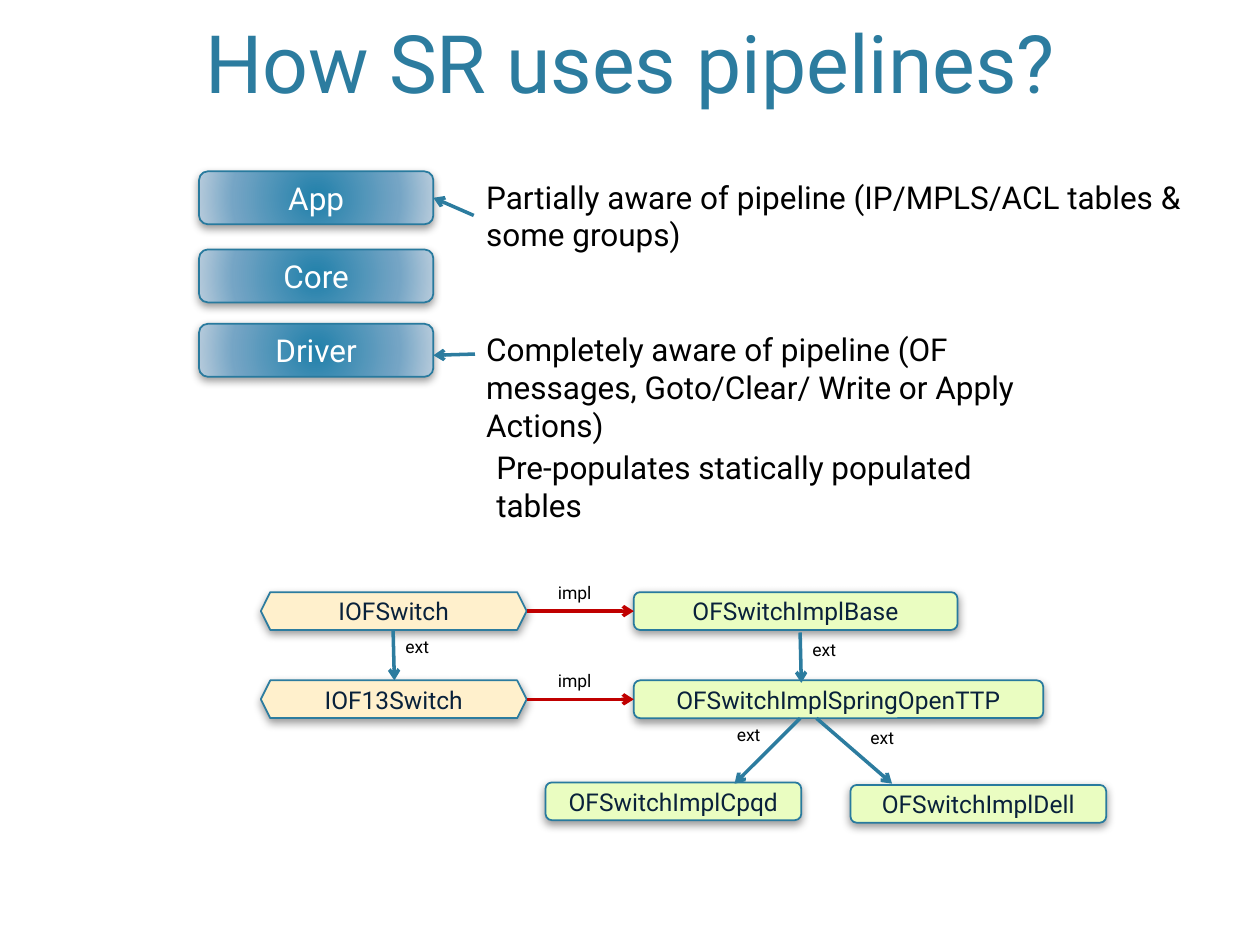
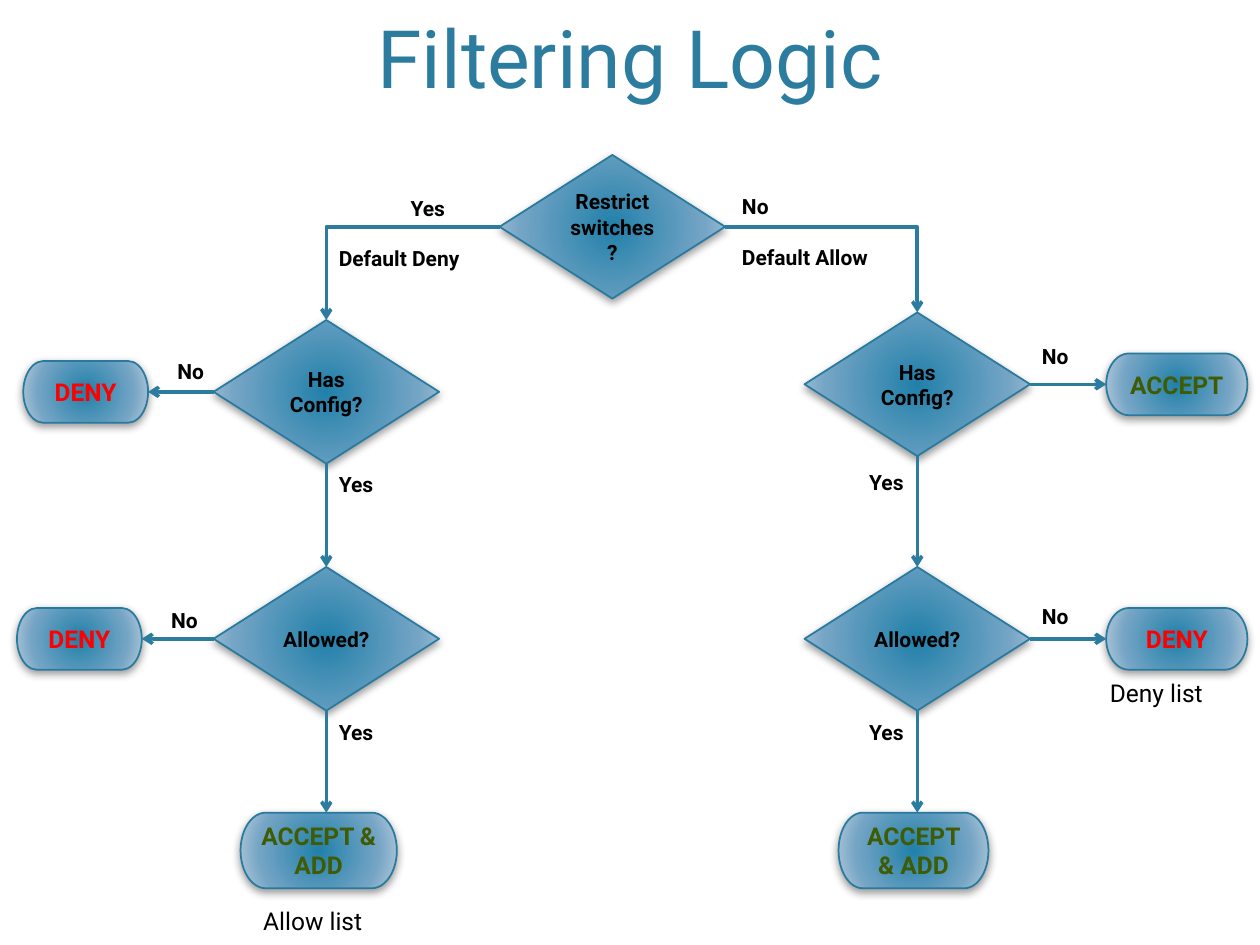
from lxml.etree import SubElement
from pptx import Presentation
from pptx.dml.color import RGBColor
from pptx.enum.shapes import MSO_CONNECTOR, MSO_SHAPE
from pptx.enum.text import MSO_ANCHOR, PP_ALIGN
from pptx.oxml import parse_xml
from pptx.oxml.ns import nsdecls, qn
from pptx.util import Inches, Pt

FONT = "Roboto"
TEAL, EDGE, RED = "2C7C9F", "287A9E", "C00000"
BLACK, WHITE, NAVY = "000000", "FFFFFF", "09213B"
CREAM, LIME = "FFF0CC", "EAFDC1"
DENY, ACCEPT = "FF0000", "3F5B03"
GLOW = [(0, "2180AA"), (69, "75A5C5"), (100, "B8CCDC")]

# Slide 1: software layers, what they know, and the switch classes
LAYER_LEFT, LAYER_SIZE = 1.58, (1.86, 0.42)
LAYERS = [("App", 1.36), ("Core", 1.98), ("Driver", 2.57)]
REMARKS = [  # text, left, top, width, height
    ("Partially aware of pipeline (IP/MPLS/ACL tables & some groups)", 3.76, 1.36, 6.11, 0.71),
    ("Completely aware of pipeline (OF messages, Goto/Clear/ Write or Apply Actions)",
     3.76, 2.57, 4.39, 1.01),
    ("Pre-populates statically populated tables", 3.84, 3.51, 4.12, 0.71),
]
REMARK_ARROWS = [((3.76, 1.71), (3.44, 1.57)), ((3.77, 2.81), (3.44, 2.82))]

CLASS_HEIGHT = 0.3
INTERFACES = [("IOFSwitch", 2.07, 4.7, 2.11), ("IOF13Switch", 2.07, 5.4, 2.11)]
CLASSES = [  # name, left, top, width
    ("OFSwitchImplBase", 5.03, 4.7, 2.57),
    ("OFSwitchImplSpringOpenTTP", 5.03, 5.4, 3.25),
    ("OFSwitchImplCpqd", 4.33, 6.21, 2.03),
    ("OFSwitchImplDell", 6.75, 6.23, 2.03),
]
RELATIONS = [  # kind, start, end, label corner
    ("impl", (4.18, 4.85), (5.03, 4.85), (4.33, 4.57)),
    ("impl", (4.18, 5.55), (5.03, 5.55), (4.33, 5.27)),
    ("ext", (3.12, 5.0), (3.13, 5.4), (3.12, 5.0)),
    ("ext", (6.35, 5.02), (6.36, 5.42), (6.35, 5.02)),
    ("ext", (6.35, 5.7), (5.83, 6.22), (5.75, 5.7)),
    ("ext", (6.48, 5.7), (7.08, 6.22), (6.81, 5.72)),
]
RELATION_STYLE = {"impl": (RED, 0.5), "ext": (TEAL, 0.4)}  # colour, label width

# Slide 2: decisions and outcomes, placed by their centres
DECISION_SIZE = (1.79, 1.14)
LEFT, RIGHT = 2.59, 7.28
DECISIONS = {
    "restrict": ("Restrict switches?", 4.86, 1.8),
    "left config": ("Has Config?", LEFT, 3.11),
    "left allowed": ("Allowed?", LEFT, 5.07),
    "right config": ("Has Config?", RIGHT, 3.05),
    "right allowed": ("Allowed?", RIGHT, 5.07),
}
OUTCOMES = {  # text, colour, centre x, centre y, width, height
    "left no config": ("DENY", DENY, 0.68, 3.11, 0.99, 0.49),
    "left not allowed": ("DENY", DENY, 0.63, 5.07, 0.99, 0.49),
    "left add": ("ACCEPT & ADD", ACCEPT, 2.53, 6.75, 1.24, 0.6),
    "right no config": ("ACCEPT", ACCEPT, 9.34, 3.05, 1.12, 0.49),
    "right not allowed": ("DENY", DENY, 9.34, 5.07, 1.12, 0.49),
    "right add": ("ACCEPT & ADD", ACCEPT, 7.25, 6.75, 1.19, 0.6),
}
STEPS = [  # from, to, direction of travel
    ("restrict", "left config", "bend"),
    ("restrict", "right config", "bend"),
    ("left config", "left no config", "across"),
    ("left allowed", "left not allowed", "across"),
    ("right config", "right no config", "across"),
    ("right allowed", "right not allowed", "across"),
    ("left config", "left allowed", "down"),
    ("left allowed", "left add", "down"),
    ("right config", "right allowed", "down"),
    ("right allowed", "right add", "down"),
]
BRANCHES = [  # answer, default, left, top, indent of the answer
    ("Yes", "Default Deny", 2.59, 1.5, 0.57),
    ("No", "Default Allow", 5.79, 1.49, 0),
]
ANSWER_WIDTH = {"Yes": 0.48, "No": 0.43}
ANSWERS = [
    ("No", 1.31, 2.8), ("No", 1.26, 4.77), ("No", 8.17, 2.68), ("No", 8.17, 4.74),
    ("Yes", LEFT, 3.69), ("Yes", LEFT, 5.66), ("Yes", 6.8, 3.68), ("Yes", 6.8, 5.66),
]
LISTS = [("Allow list", 1.99, 7.14), ("Deny list", 8.71, 5.33)]


def rgb(value):
    return RGBColor.from_string(value)


def write(frame, text, size=18, color=BLACK, bold=False, align=PP_ALIGN.LEFT,
          anchor=MSO_ANCHOR.TOP, wrap=True, indent=0, gap=0):
    """One paragraph per line; indent moves the first, gap parts the others."""
    frame.word_wrap, frame.vertical_anchor = wrap, anchor
    for number, line in enumerate(text.split("\n")):
        paragraph = frame.add_paragraph() if number else frame.paragraphs[0]
        paragraph.alignment = align
        if number:
            paragraph.space_before = Pt(gap)
        elif indent:
            paragraph._p.get_or_add_pPr().set("marL", str(Inches(indent)))
        run = paragraph.add_run()
        run.text = line
        run.font.name, run.font.size, run.font.bold = FONT, Pt(size), bold
        run.font.color.rgb = rgb(color)


def label(slide, text, left, top, width, height, **style):
    box = slide.shapes.add_textbox(*map(Inches, (left, top, width, height)))
    write(box.text_frame, text, **style)


def glow_fill(shape):
    """Radial gradient, darkest in the middle."""
    shape.fill.background()
    stops = "".join(f'<a:gs pos="{share * 1000}"><a:srgbClr val="{color}"/></a:gs>'
                    for share, color in GLOW)
    gradient = parse_xml(
        f'<a:gradFill {nsdecls("a")} rotWithShape="1"><a:gsLst>{stops}</a:gsLst>'
        '<a:path path="circle"><a:fillToRect l="100000" t="100000" r="100000" b="100000"/>'
        '</a:path></a:gradFill>')
    properties = shape._element.spPr
    properties.replace(properties.find(qn("a:noFill")), gradient)


def drop_shadow(shape):
    shape.shadow.inherit = False
    effects = shape._element.spPr.find(qn("a:effectLst"))
    shadow = SubElement(effects, qn("a:outerShdw"), blurRad=str(Pt(5)), dist=str(Pt(2)),
                        dir="5400000", rotWithShape="0")
    color = SubElement(shadow, qn("a:srgbClr"), val=BLACK)
    SubElement(color, qn("a:alpha"), val="40000")


def node(slide, kind, text, left, top, width, height, fill=None, edge=EDGE, **style):
    """Shadowed shape with centred text; it glows when no fill is given."""
    shape = slide.shapes.add_shape(kind, *map(Inches, (left, top, width, height)))
    if fill:
        shape.fill.solid()
        shape.fill.fore_color.rgb = rgb(fill)
    else:
        glow_fill(shape)
    shape.line.color.rgb, shape.line.width = rgb(edge), Pt(1)
    drop_shadow(shape)
    write(shape.text_frame, text, align=PP_ALIGN.CENTER, anchor=MSO_ANCHOR.MIDDLE, **style)


def arrow(slide, start, end, color=TEAL, bend=False):
    kind = MSO_CONNECTOR.ELBOW if bend else MSO_CONNECTOR.STRAIGHT
    connector = slide.shapes.add_connector(kind, *map(Inches, (*start, *end)))
    connector.line.color.rgb, connector.line.width = rgb(color), Pt(2)
    properties = connector._element.spPr
    if bend:
        properties.find(qn("a:prstGeom")).set("prst", "bentConnector2")
    SubElement(properties.find(qn("a:ln")), qn("a:tailEnd"), type="arrow")
    SubElement(properties, qn("a:effectLst"))


def titled_slide(deck, title, height):
    slide = deck.slides.add_slide(deck.slide_layouts[6])
    label(slide, title, 0.6, 0.12, 8.8, height, size=46, color=TEAL,
          align=PP_ALIGN.CENTER, anchor=MSO_ANCHOR.BOTTOM)
    return slide


def pipelines_slide(deck):
    slide = titled_slide(deck, "How SR uses pipelines?", 0.8)
    for name, top in LAYERS:
        node(slide, MSO_SHAPE.ROUNDED_RECTANGLE, name, LAYER_LEFT, top, *LAYER_SIZE, color=WHITE)
    for remark in REMARKS:
        label(slide, *remark)
    for start, end in REMARK_ARROWS:
        arrow(slide, start, end)
    for kind, members, fill, edge in (
            (MSO_SHAPE.HEXAGON, INTERFACES, CREAM, TEAL),
            (MSO_SHAPE.ROUNDED_RECTANGLE, CLASSES, LIME, EDGE)):
        for member in members:
            node(slide, kind, *member, CLASS_HEIGHT, fill=fill, edge=edge, size=14, color=NAVY)
    for relation, start, end, corner in RELATIONS:
        color, width = RELATION_STYLE[relation]
        arrow(slide, start, end, color)
        label(slide, relation, *corner, width, 0.27, size=10, wrap=False)


def filtering_slide(deck):
    slide = titled_slide(deck, "Filtering Logic", 0.76)
    places = {}
    for key, (text, x, y) in DECISIONS.items():
        width, height = DECISION_SIZE
        places[key] = (x, y, width, height)
        node(slide, MSO_SHAPE.FLOWCHART_DECISION, text, x - width / 2, y - height / 2,
             width, height, size=12, bold=True)
    for key, (text, color, x, y, width, height) in OUTCOMES.items():
        places[key] = (x, y, width, height)
        node(slide, MSO_SHAPE.FLOWCHART_TERMINATOR, text, x - width / 2, y - height / 2,
             width, height, size=14, color=color, bold=True)
    for source, target, travel in STEPS:
        x1, y1, width1, height1 = places[source]
        x2, y2, width2, height2 = places[target]
        side = 1 if x2 > x1 else -1
        start = (x1, y1 + height1 / 2) if travel == "down" else (x1 + side * width1 / 2, y1)
        end = {"down": (x1, y2 - height2 / 2),
               "across": (x2 - side * width2 / 2, y1),
               "bend": (x2, y2 - height2 / 2)}[travel]
        arrow(slide, start, end, bend=travel == "bend")
    for answer, default, left, top, indent in BRANCHES:
        label(slide, f"{answer}\n{default}", left, top, 1.49, 0.71, size=12, bold=True,
              indent=indent, gap=14.5)
    for answer, left, top in ANSWERS:
        label(slide, answer, left, top, ANSWER_WIDTH[answer], 0.3, size=12, bold=True, wrap=False)
    for name, left, top in LISTS:
        label(slide, name, left, top, 1.16, 0.34, size=14)


def main():
    deck = Presentation()
    deck.slide_width, deck.slide_height = Inches(10), Inches(7.5)
    pipelines_slide(deck)
    filtering_slide(deck)
    deck.save("out.pptx")


if __name__ == "__main__":
    main()
